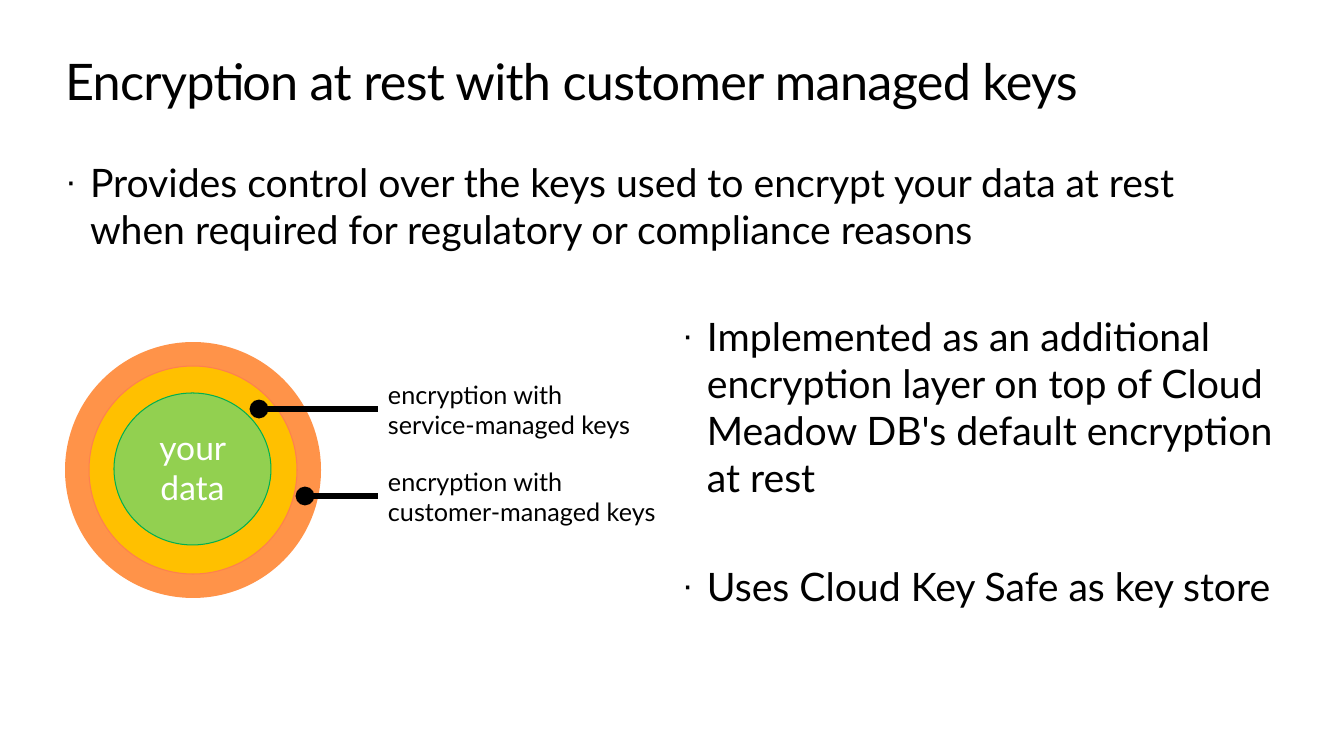
"""Builds a slide on encryption at rest with customer managed keys."""
from lxml.etree import SubElement
from pptx import Presentation
from pptx.dml.color import RGBColor
from pptx.enum.shapes import MSO_CONNECTOR, MSO_SHAPE
from pptx.enum.text import MSO_ANCHOR, MSO_AUTO_SIZE, PP_ALIGN
from pptx.oxml.ns import qn
from pptx.util import Emu, Pt

BLACK = RGBColor(0x00, 0x00, 0x00)
WHITE = RGBColor(0xFF, 0xFF, 0xFF)
ORANGE = RGBColor(0xFF, 0x93, 0x49)
CORAL = RGBColor(0xFE, 0x7F, 0x50)
AMBER = RGBColor(0xFF, 0xC0, 0x00)
LIME = RGBColor(0x92, 0xD0, 0x50)
GREEN = RGBColor(0x00, 0xB0, 0x50)
PAGE_WIDTH, PAGE_HEIGHT = 1344, 756
SCALE = 12192000 / PAGE_WIDTH


def px(length):
    return Emu(round(length * SCALE))


class Slide:
    font = "Lato"
    indent = 25

    def __init__(self, page):
        self.page = page

    def place(self, box, left, top, width, height):
        box.left, box.top = px(left), px(top)
        box.width, box.height = px(width), px(height)

    def frame(self, box, insets=(0, 0, 0, 0), anchor=MSO_ANCHOR.TOP,
              fit=MSO_AUTO_SIZE.SHAPE_TO_FIT_TEXT):
        frame = box.text_frame
        frame.word_wrap = True
        frame.auto_size = fit
        frame.vertical_anchor = anchor
        frame.margin_left, frame.margin_top, frame.margin_right, frame.margin_bottom = map(px, insets)
        return frame

    def span(self, para, text, size, color=BLACK, align=PP_ALIGN.LEFT):
        para.alignment = align
        span = para.add_run()
        span.text = text
        span.font.name = self.font
        span.font.size = Pt(size)
        span.font.color.rgb = color
        return span

    def title(self, text, bounds):
        box = self.page.shapes.title
        self.place(box, *bounds)
        span = self.span(self.frame(box).paragraphs[0], text, 36)
        span.font._element.set("spc", "-50")

    def bullets(self, index, items, bounds, insets=(0, 0, 0, 0), gap=44):
        box = self.page.placeholders[index]
        self.place(box, *bounds)
        frame = self.frame(box, insets)
        for number, item in enumerate(items):
            para = frame.add_paragraph() if number else frame.paragraphs[0]
            properties = para._p.get_or_add_pPr()
            properties.set("marL", str(px(self.indent)))
            properties.set("indent", str(-px(self.indent)))
            SubElement(properties, qn("a:buSzPct"), val="90000")
            SubElement(properties, qn("a:buChar"), char="·")
            para.space_before = Pt(gap if number else 0)
            self.span(para, item, 28)

    def circle(self, bounds, fill, outline=None):
        circle = self.page.shapes.add_shape(MSO_SHAPE.OVAL, *map(px, bounds))
        circle.shadow.inherit = False
        circle.fill.solid()
        circle.fill.fore_color.rgb = fill
        if outline is None:
            circle.line.fill.background()
        else:
            circle.line.color.rgb = outline
            circle.line.width = Pt(0.75)
        return circle

    def core(self, text, bounds):
        circle = self.circle(bounds, LIME, GREEN)
        frame = self.frame(circle, (20, 12, 20, 16), MSO_ANCHOR.MIDDLE, MSO_AUTO_SIZE.NONE)
        self.span(frame.paragraphs[0], text, 24, WHITE, PP_ALIGN.CENTER)

    def callout(self, text, start, end, middle, width):
        pointer = self.page.shapes.add_connector(
            MSO_CONNECTOR.STRAIGHT, px(start), px(middle), px(end), px(middle))
        pointer.line.color.rgb = BLACK
        pointer.line.width = Pt(4.5)
        SubElement(pointer.line._get_or_add_ln(), qn("a:headEnd"), type="oval")
        SubElement(pointer._element.spPr, qn("a:effectLst"))
        label = self.page.shapes.add_textbox(px(end + 10), px(middle - 30), px(width), px(61))
        self.span(self.frame(label).paragraphs[0], text, 18)


def main():
    deck = Presentation()
    deck.slide_width, deck.slide_height = px(PAGE_WIDTH), px(PAGE_HEIGHT)
    slide = Slide(deck.slides.add_slide(deck.slide_layouts[3]))
    slide.title("Encryption at rest with customer managed keys", (65, 50, 1215, 61))
    slide.bullets(1, [
        "Provides control over the keys used to encrypt your data at rest "
        "when required for regulatory or compliance reasons",
    ], (65, 158, 1119, 95))
    slide.bullets(2, [
        "Implemented as an additional encryption layer on top of "
        "Cloud Meadow DB's default encryption at rest",
        "Uses Cloud Key Safe as key store",
    ], (672, 307, 635, 311), (10, 5, 10, 5))
    slide.circle((65, 342, 256, 256), ORANGE)
    slide.circle((89, 366, 208, 208), AMBER, CORAL)
    slide.core("your data", (114, 393, 157, 152))
    slide.callout("encryption with service-managed keys", 259, 378, 409, 256)
    slide.callout("encryption with customer-managed keys", 305, 378, 496, 274)
    deck.save("out.pptx")


if __name__ == "__main__":
    main()
